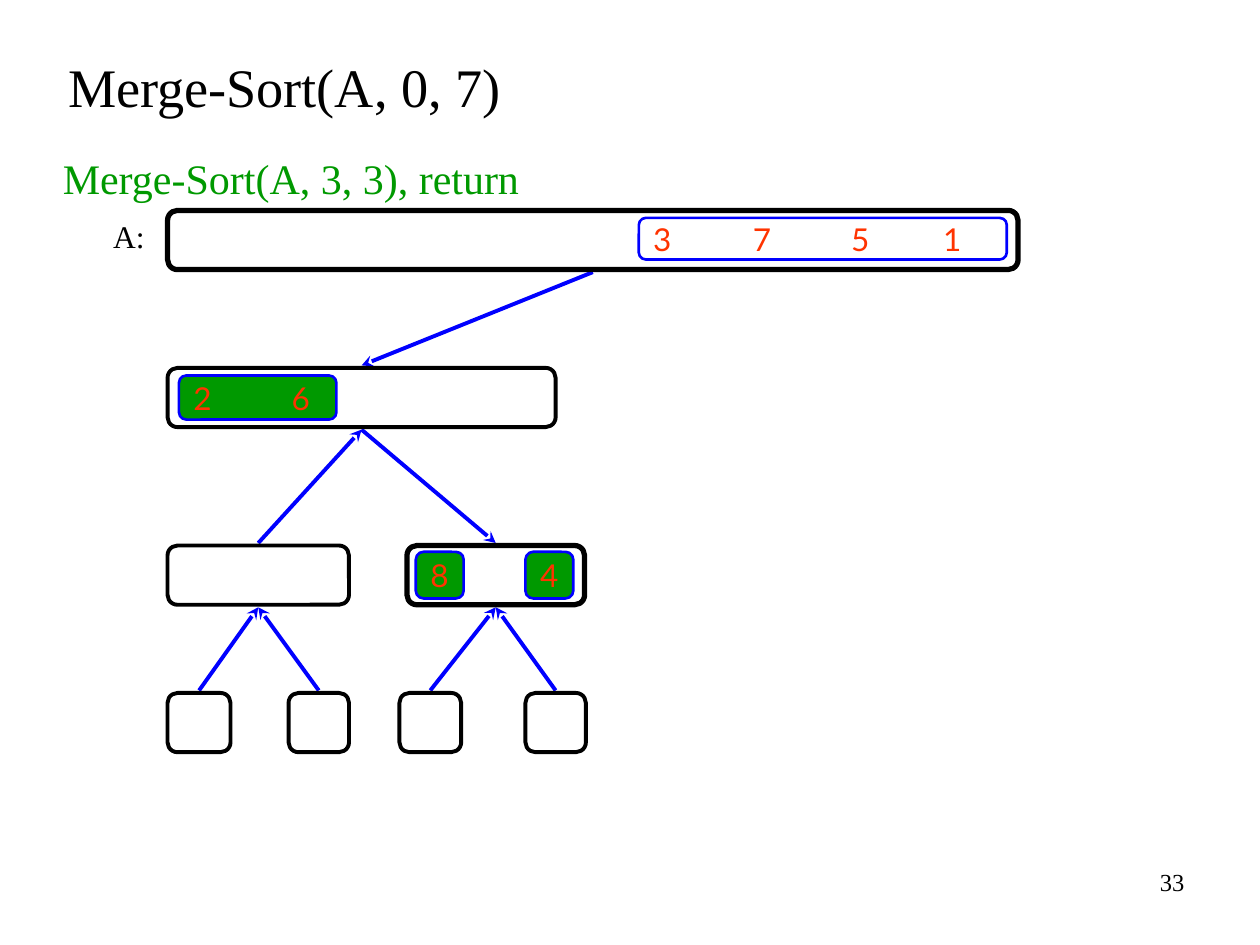
from dataclasses import dataclass

import pptx
import pptx.util
import pptx.dml.color
import pptx.enum.shapes
import pptx.enum.text
import pptx.oxml.ns
from lxml import etree

Inches = pptx.util.Inches
Pt = pptx.util.Pt
ALIGN = pptx.enum.text.PP_ALIGN
ANCHOR = pptx.enum.text.MSO_ANCHOR
qn = pptx.oxml.ns.qn


@dataclass(frozen=True)
class Theme:
    black: str = "000000"
    blue: str = "0000FF"
    green: str = "009900"
    red: str = "FF3300"
    serif: str = "Times New Roman"
    sans: str = "Lato"
    title: int = 31
    step: int = 24
    label: int = 18
    number: int = 14
    thin: float = 1.5
    line: float = 2.25
    bold_line: float = 3


@dataclass(frozen=True)
class Box:
    x: float
    y: float
    w: float
    h: float

    @property
    def center(self) -> float:
        return self.x + self.w / 2


@dataclass(frozen=True)
class Values:
    box: Box
    digits: str
    tabs: tuple = ()
    fill: str | None = None


T = Theme()
GAP = 0.02  # between an arrow end and its box


def rgb(color: str):
    return pptx.dml.color.RGBColor.from_string(color)


def write(sp, text: str, *, size=T.label, color=T.black, font=T.serif, align=ALIGN.LEFT,
          anchor=ANCHOR.TOP, wrap=True, tabs=()) -> None:
    """Put one formatted paragraph into a shape, with tab stops in inches."""
    tf = sp.text_frame
    tf.auto_size = pptx.enum.text.MSO_AUTO_SIZE.NONE
    tf.word_wrap = wrap
    tf.vertical_anchor = anchor
    p = tf.paragraphs[0]
    p.alignment = align
    if tabs:
        tab_list = etree.SubElement(p._p.get_or_add_pPr(), qn("a:tabLst"))
        for pos in tabs:
            etree.SubElement(tab_list, qn("a:tab"), pos=str(Inches(pos)), algn="l")
    r = p.add_run()
    r.text = text
    r.font.size = Pt(size)
    r.font.name = font
    r.font.color.rgb = rgb(color)


def place(b: Box) -> tuple:
    return tuple(Inches(v) for v in (b.x, b.y, b.w, b.h))


def add_text(s, b: Box, text: str, **fmt) -> None:
    write(s.shapes.add_textbox(*place(b)), text, **fmt)


def add_box(s, b: Box, color=T.black, width=T.line, fill=None):
    sp = s.shapes.add_shape(pptx.enum.shapes.MSO_SHAPE.ROUNDED_RECTANGLE, *place(b))
    sp.shadow.inherit = False
    if fill:
        sp.fill.solid()
        sp.fill.fore_color.rgb = rgb(fill)
    else:
        sp.fill.background()
    sp.line.color.rgb = rgb(color)
    sp.line.width = Pt(width)
    return sp


def add_arrow(s, parent: Box, child: Box, returns: bool) -> None:
    """Join parent and child; a call points down, a return points up."""
    ends = [(parent.center, parent.y + parent.h + GAP), (child.center, child.y - GAP)]
    if returns:
        ends.reverse()
    (x1, y1), (x2, y2) = ends
    c = s.shapes.add_connector(pptx.enum.shapes.MSO_CONNECTOR.STRAIGHT,
                               Inches(x1), Inches(y1), Inches(x2), Inches(y2))
    c.line.color.rgb = rgb(T.blue)
    c.line.width = Pt(T.line)
    etree.SubElement(c.line._get_or_add_ln(), qn("a:tailEnd"), type="stealth")
    etree.SubElement(c._element.spPr, qn("a:effectLst"))


# Recursion tree, level by level
H = 0.47
ROOT = Box(1.33, 1.67, 6.75, H)
HALF = Box(1.33, 2.92, 3.08, H)
LEFT, RIGHT = Box(1.33, 4.33, 1.44, H), Box(3.23, 4.33, 1.41, H)
LEAVES = [Box(x, 5.5, w, H) for x, w in ((1.33, 0.5), (2.29, 0.48), (3.17, 0.49), (4.17, 0.48))]
ACTIVE = (ROOT, RIGHT)

ARROWS = [(ROOT, HALF, False), (HALF, LEFT, True), (HALF, RIGHT, False)]
ARROWS += [(parent, leaf, True) for parent, pair in ((LEFT, LEAVES[:2]), (RIGHT, LEAVES[2:]))
           for leaf in pair]

VALUES = [
    Values(Box(5.07, 1.73, 2.92, 0.33), "3\t7\t5\t1", (0.79, 1.57, 2.3)),
    Values(Box(1.42, 2.98, 1.25, 0.35), "2\t6", (0.78,), T.green),
    Values(Box(3.3, 4.38, 0.38, 0.37), "8", fill=T.green),
    Values(Box(4.17, 4.38, 0.38, 0.37), "4", fill=T.green),
]


def main() -> None:
    prs = pptx.Presentation()
    prs.slide_width, prs.slide_height = Inches(10), Inches(7.5)
    s = prs.slides.add_slide(prs.slide_layouts.get_by_name("Title Only"))

    # Title, current step and labels
    title = s.shapes.title
    title.left, title.top, title.width, title.height = place(Box(0.44, 0.35, 8.25, 0.64))
    write(title, "Merge-Sort(A, 0, 7)", size=T.title, anchor=ANCHOR.BOTTOM)
    add_text(s, Box(0.4, 1.16, 4.57, 0.5), "Merge-Sort(A, 3, 3), return",
             size=T.step, color=T.green)
    add_text(s, Box(0.8, 1.67, 0.45, 0.4), "A:", wrap=False)
    add_text(s, Box(7.17, 6.83, 2.33, 0.52), "33", size=T.number, align=ALIGN.RIGHT)

    # Tree
    for parent, child, returns in ARROWS:
        add_arrow(s, parent, child, returns)
    for b in (ROOT, HALF, LEFT, RIGHT, *LEAVES):
        add_box(s, b, width=T.bold_line if b in ACTIVE else T.line)

    # Values still held in each part of the array
    for v in VALUES:
        sp = add_box(s, v.box, T.blue, T.thin, v.fill)
        write(sp, v.digits, color=T.red, font=T.sans, anchor=ANCHOR.MIDDLE, tabs=v.tabs)

    prs.save("out.pptx")


if __name__ == "__main__":
    main()
